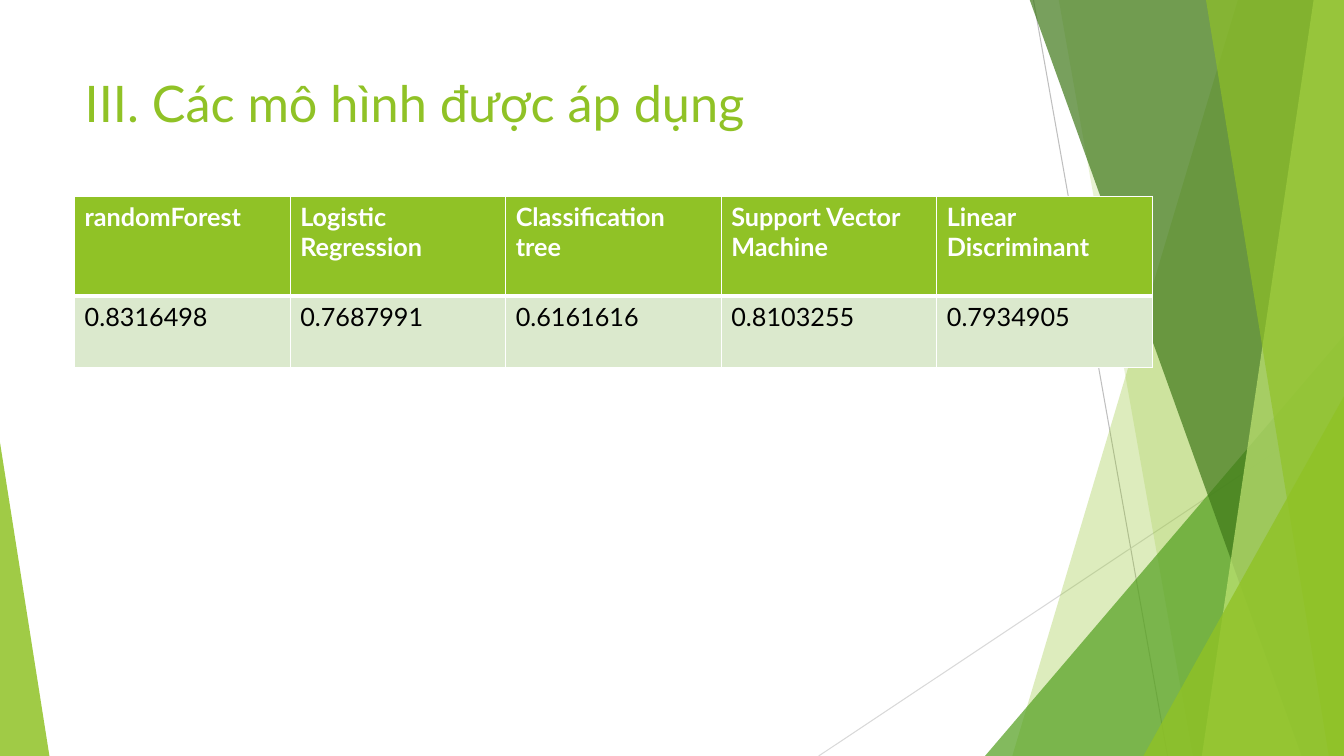
"""Build a slide with a table of model accuracies on a faceted green background."""
from lxml import etree
from pptx import Presentation
from pptx.dml.color import RGBColor
from pptx.enum import shapes, text
from pptx.oxml import ns
from pptx.util import Inches, Pt

TITLE = "III. Các mô hình được áp dụng"
MODELS = [
    ("randomForest", "0.8316498"),
    ("Logistic Regression", "0.7687991"),
    ("Classification tree", "0.6161616"),
    ("Support Vector Machine", "0.8103255"),
    ("Linear Discriminant", "0.7934905"),
]
COLORS = {
    "green": "90C226", "leaf": "54A021", "forest": "3F7819", "lime": "C0E474",
    "gray": "BFBFBF", "pale": "D9D9D9", "mint": "DBE9CD",
    "white": "FFFFFF", "black": "000000",
}
W, H, TOP = 13.33, 7.5, -0.01
LINES = [((10.25, 0), (11.58, H), "gray"), ((W, 4.03), (8.12, H), "pale")]
FACETS = [
    ("band", (12.28, 10.04), "green", 30),
    ("band", (10.5, 11.83), "green", 20),
    ("triangle", (9.77, 3.33, 3.56, 1), "leaf", 72),
    ("band", (10.21, 12.91), "forest", 70),
    ("band", (13.03, 11.92), "lime", 70),
    ("band", (11.96, 13.18), "green", 65),
    ("triangle", (11.34, 3.93, 1.99, 1), "green", 80),
    ("triangle", (0, 4.39, 0.49, 0), "green", 85),
]
TABLE = dict(left=0.74, top=1.95, width=10.69)
ROWS = [
    dict(height=0.99, fill="green", font=dict(color="white", bold=True),
         borders=dict(L=1, R=1, T=1, B=3)),
    dict(height=0.71, fill="mint", font=dict(color="black", bold=False),
         borders=dict(L=1, R=1, T=3, B=1)),
]


def rgb(name):
    return RGBColor.from_string(COLORS[name])


def set_fill(shape, color, alpha):
    shape.shadow.inherit = False
    shape.fill.solid()
    shape.fill.fore_color.rgb = rgb(color)
    clr = shape.element.spPr.find(".//" + ns.qn("a:srgbClr"))
    etree.SubElement(clr, ns.qn("a:alpha"), val=str(alpha * 1000))
    shape.line.fill.background()


def add_line(s, start, end, color):
    c = s.shapes.add_connector(shapes.MSO_CONNECTOR.STRAIGHT,
                               *map(Inches, start + end))
    c.line.color.rgb = rgb(color)
    c.line.width = Pt(0.75)
    etree.SubElement(c.element.spPr, ns.qn("a:effectLst"))


def add_band(s, top_x, bottom_x):
    b = s.shapes.build_freeform(Inches(top_x), Inches(TOP))
    corners = [(W, TOP), (W, H), (bottom_x, H)]
    b.add_line_segments([(Inches(x), Inches(y)) for x, y in corners], close=True)
    return b.convert_to_shape()


def add_triangle(s, left, top, width, apex):
    sp = s.shapes.add_shape(shapes.MSO_SHAPE.ISOSCELES_TRIANGLE,
                            *map(Inches, (left, top, width, H - top)))
    sp.adjustments[0] = apex
    return sp


def set_text(tf, words, size, color, bold):
    p = tf.paragraphs[0]
    p.alignment = text.PP_ALIGN.LEFT
    r = p.add_run()
    r.text = words
    for name, value in dict(name="Lato", size=Pt(size), bold=bold).items():
        setattr(r.font, name, value)
    r.font.color.rgb = rgb(color)


def set_borders(cell, widths):
    tcPr = cell._tc.get_or_add_tcPr()
    for i, (side, width) in enumerate(widths.items()):
        ln = etree.Element(ns.qn("a:ln" + side), w=str(Pt(width)))
        fill = etree.SubElement(ln, ns.qn("a:solidFill"))
        etree.SubElement(fill, ns.qn("a:srgbClr"), val=COLORS["white"])
        tcPr.insert(i, ln)


def add_title(s):
    title = s.shapes.title
    box = dict(left=0.74, top=0.67, width=9.4, height=1.44)
    for name, value in box.items():
        setattr(title, name, Inches(value))
    tf = title.text_frame
    frame = dict(word_wrap=True, auto_size=text.MSO_AUTO_SIZE.NONE,
                 vertical_anchor=text.MSO_ANCHOR.TOP)
    for name, value in frame.items():
        setattr(tf, name, value)
    set_text(tf, TITLE, 36, "green", False)
    s.shapes.element.append(title.element)


def add_models(s):
    height = sum(row["height"] for row in ROWS)
    box = (TABLE["left"], TABLE["top"], TABLE["width"], height)
    table = s.shapes.add_table(len(ROWS), len(MODELS), *map(Inches, box)).table
    for col in table.columns:
        col.width = Inches(TABLE["width"] / len(MODELS))
    for i, (row, words) in enumerate(zip(ROWS, zip(*MODELS))):
        table.rows[i].height = Inches(row["height"])
        for cell, word in zip(table.rows[i].cells, words):
            cell.fill.solid()
            cell.fill.fore_color.rgb = rgb(row["fill"])
            set_borders(cell, row["borders"])
            set_text(cell.text_frame, word, 18, **row["font"])


prs = Presentation()
prs.slide_width, prs.slide_height = Inches(W), Inches(H)
s = prs.slides.add_slide(prs.slide_layouts[5])
for line in LINES:
    add_line(s, *line)
builders = dict(band=add_band, triangle=add_triangle)
for kind, geometry, color, alpha in FACETS:
    set_fill(builders[kind](s, *geometry), color, alpha)
add_title(s)
add_models(s)
prs.save("out.pptx")
